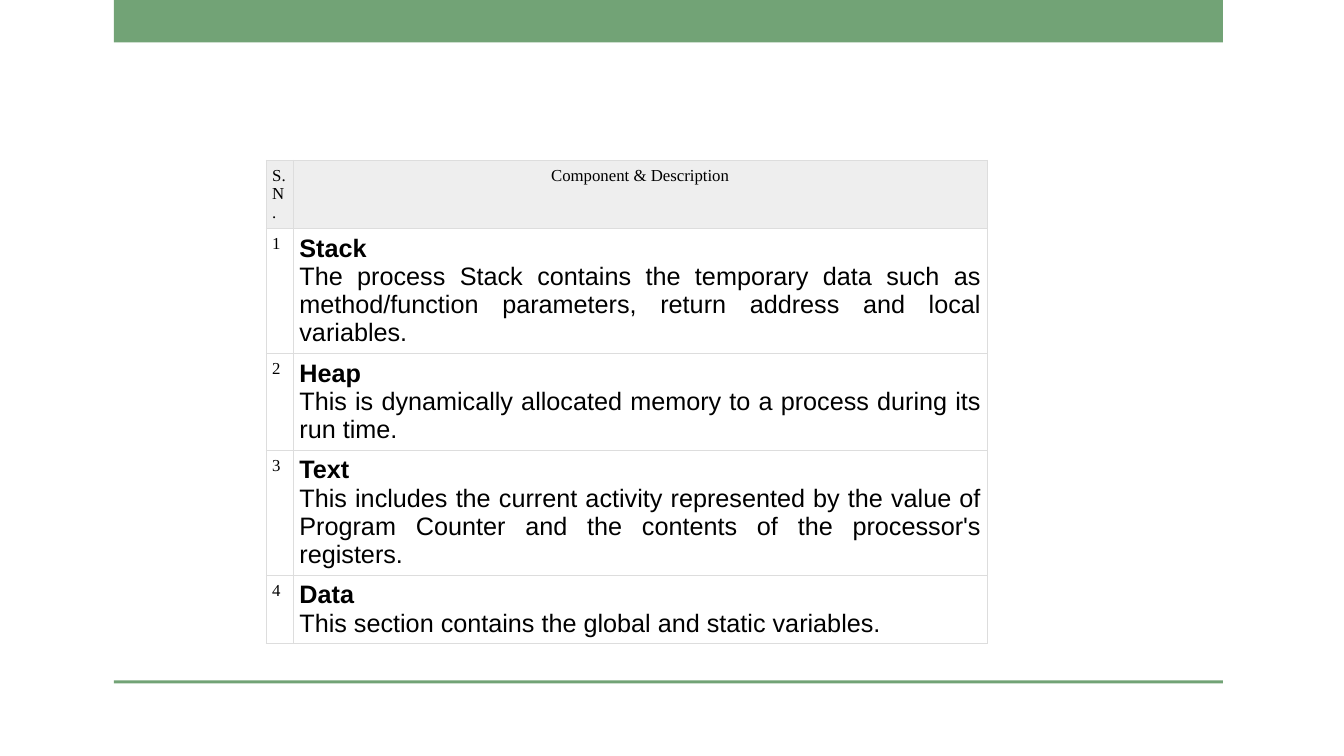
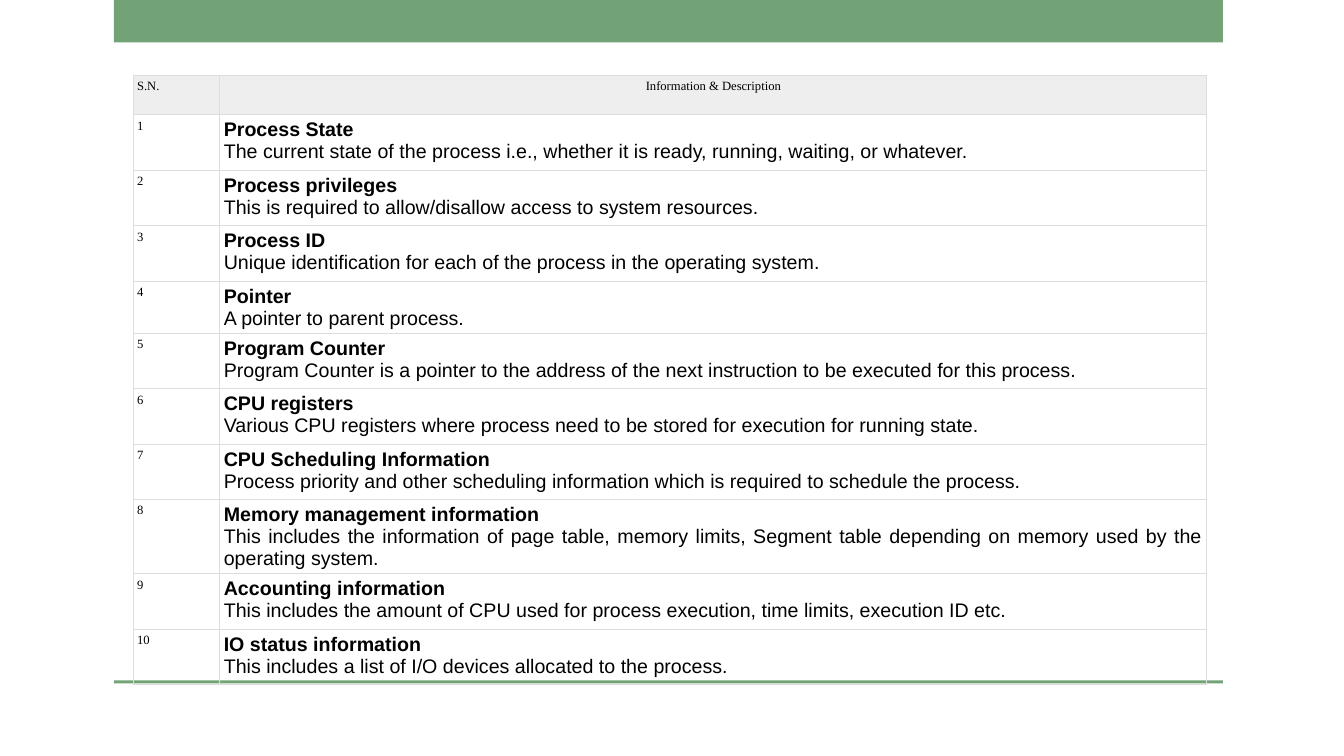
from dataclasses import dataclass

from lxml.etree import SubElement
from pptx import Presentation
from pptx.dml.color import RGBColor
from pptx.enum.shapes import MSO_SHAPE as Preset
from pptx.enum.text import PP_ALIGN as Align
from pptx.oxml.ns import qn
from pptx.slide import Slide
from pptx.table import _Cell as Cell
from pptx.util import Pt

EMU_PER_PX = 9144
GREEN = RGBColor(0x72, 0xA3, 0x76)
HEADER_GREY = RGBColor(0xEE, 0xEE, 0xEE)
BORDER_GREY = RGBColor(0xDD, 0xDD, 0xDD)
BLACK = RGBColor(0, 0, 0)
SERIF = "Times New Roman"
SANS = "Arial"
BORDER_WIDTH = Pt(0.75)


def px(length: int) -> int:
    return length * EMU_PER_PX


@dataclass(frozen=True)
class Band:
    left: int
    top: int
    width: int
    height: int


@dataclass(frozen=True)
class Entry:
    name: str
    description: str
    height: int = 55


@dataclass(frozen=True)
class EntryTable:
    heading: str
    left: int
    top: int
    columns: tuple[int, int]
    header_height: int
    inset: int
    label_size: int
    text_size: int
    entries: tuple[Entry, ...]


BANDS = (Band(113, 0, 1100, 42), Band(113, 675, 1100, 3))

COMPONENTS = EntryTable(
    heading="Component & Description",
    left=264, top=159, columns=(27, 688), header_height=67,
    inset=6, label_size=12, text_size=18,
    entries=(
        Entry("Stack", "The process Stack contains the temporary data such as "
              "method/function parameters, return address and local variables.", 123),
        Entry("Heap", "This is dynamically allocated memory to a process during "
              "its run time.", 95),
        Entry("Text", "This includes the current activity represented by the value "
              "of Program Counter and the contents of the processor's registers.", 123),
        Entry("Data", "This section contains the global and static variables.", 67),
    ),
)

CONTROL_BLOCK = EntryTable(
    heading="Information & Description",
    left=132, top=75, columns=(86, 979), header_height=39,
    inset=4, label_size=9, text_size=14,
    entries=(
        Entry("Process State", "The current state of the process i.e., whether it is "
              "ready, running, waiting, or whatever."),
        Entry("Process privileges", "This is required to allow/disallow access to "
              "system resources."),
        Entry("Process ID", "Unique identification for each of the process in the "
              "operating system."),
        Entry("Pointer", "A pointer to parent process.", 39),
        Entry("Program Counter", "Program Counter is a pointer to the address of the "
              "next instruction to be executed for this process."),
        Entry("CPU registers", "Various CPU registers where process need to be stored "
              "for execution for running state."),
        Entry("CPU Scheduling Information", "Process priority and other scheduling "
              "information which is required to schedule the process."),
        Entry("Memory management information", "This includes the information of page "
              "table, memory limits, Segment table depending on memory used by the "
              "operating system.", 70),
        Entry("Accounting information", "This includes the amount of CPU used for "
              "process execution, time limits, execution ID etc."),
        Entry("IO status information", "This includes a list of I/O devices allocated "
              "to the process."),
    ),
)


def add_master_bands(deck: Presentation, page: Slide) -> None:
    master_tree = deck.slide_master.element.cSld.spTree
    for band in BANDS:
        box = page.shapes.add_shape(
            Preset.RECTANGLE, px(band.left), px(band.top), px(band.width), px(band.height))
        box.shadow.inherit = False
        box.fill.solid()
        box.fill.fore_color.rgb = GREEN
        box.line.fill.background()
        master_tree.append(box.element)


def style_cell(cell: Cell, *, inset: int, fill: RGBColor | None = None) -> None:
    cell.margin_left = cell.margin_right = px(inset)
    cell.margin_top = cell.margin_bottom = px(inset)
    properties = cell._tc.get_or_add_tcPr()
    for side in ("a:lnL", "a:lnR", "a:lnT", "a:lnB"):
        border = SubElement(properties, qn(side), w=str(BORDER_WIDTH))
        solid = SubElement(border, qn("a:solidFill"))
        SubElement(solid, qn("a:srgbClr"), val=str(BORDER_GREY))
    if fill is None:
        cell.fill.background()
    else:
        cell.fill.solid()
        cell.fill.fore_color.rgb = fill


def write_text(cell: Cell, text: str, *, size: int, font: str = SERIF,
               bold: bool = False, align: Align = Align.LEFT,
               new_paragraph: bool = False) -> None:
    frame = cell.text_frame
    para = frame.add_paragraph() if new_paragraph else frame.paragraphs[0]
    para.alignment = align
    span = para.add_run()
    span.text = text
    span.font.name = font
    span.font.size = Pt(size)
    span.font.bold = bold
    span.font.color.rgb = BLACK


def add_entry_table(page: Slide, content: EntryTable) -> None:
    heights = [content.header_height, *(entry.height for entry in content.entries)]
    table = page.shapes.add_table(
        len(heights), len(content.columns), px(content.left), px(content.top),
        px(sum(content.columns)), px(sum(heights))).table
    table.first_row = table.horz_banding = False
    for column, width in zip(table.columns, content.columns):
        column.width = px(width)
    for row, height in zip(table.rows, heights):
        row.height = px(height)

    for index in range(len(heights)):
        for column in range(len(content.columns)):
            style_cell(table.cell(index, column), inset=content.inset,
                       fill=HEADER_GREY if index == 0 else None)

    write_text(table.cell(0, 0), "S.N.", size=content.label_size)
    write_text(table.cell(0, 1), content.heading, size=content.label_size,
               align=Align.CENTER)
    for number, entry in enumerate(content.entries, start=1):
        write_text(table.cell(number, 0), str(number), size=content.label_size)
        cell = table.cell(number, 1)
        write_text(cell, entry.name, size=content.text_size, font=SANS,
                   bold=True, align=Align.JUSTIFY)
        write_text(cell, entry.description, size=content.text_size, font=SANS,
                   align=Align.JUSTIFY, new_paragraph=True)


def main() -> None:
    deck = Presentation()
    deck.slide_width, deck.slide_height = px(1333), px(750)
    blank = deck.slide_layouts.get_by_name("Blank")
    pages = [deck.slides.add_slide(blank) for _ in range(2)]
    add_master_bands(deck, pages[0])
    for page, content in zip(pages, (COMPONENTS, CONTROL_BLOCK)):
        add_entry_table(page, content)
    deck.save("out.pptx")


if __name__ == "__main__":
    main()
